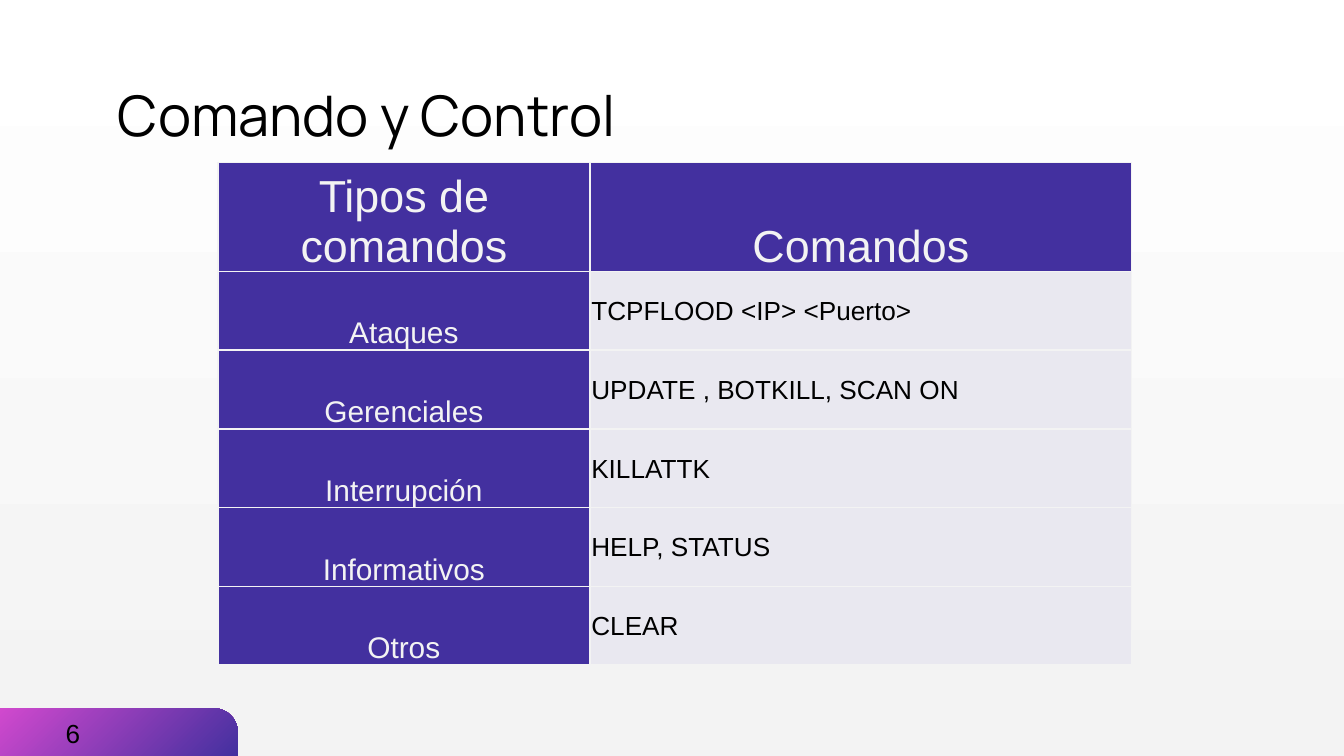
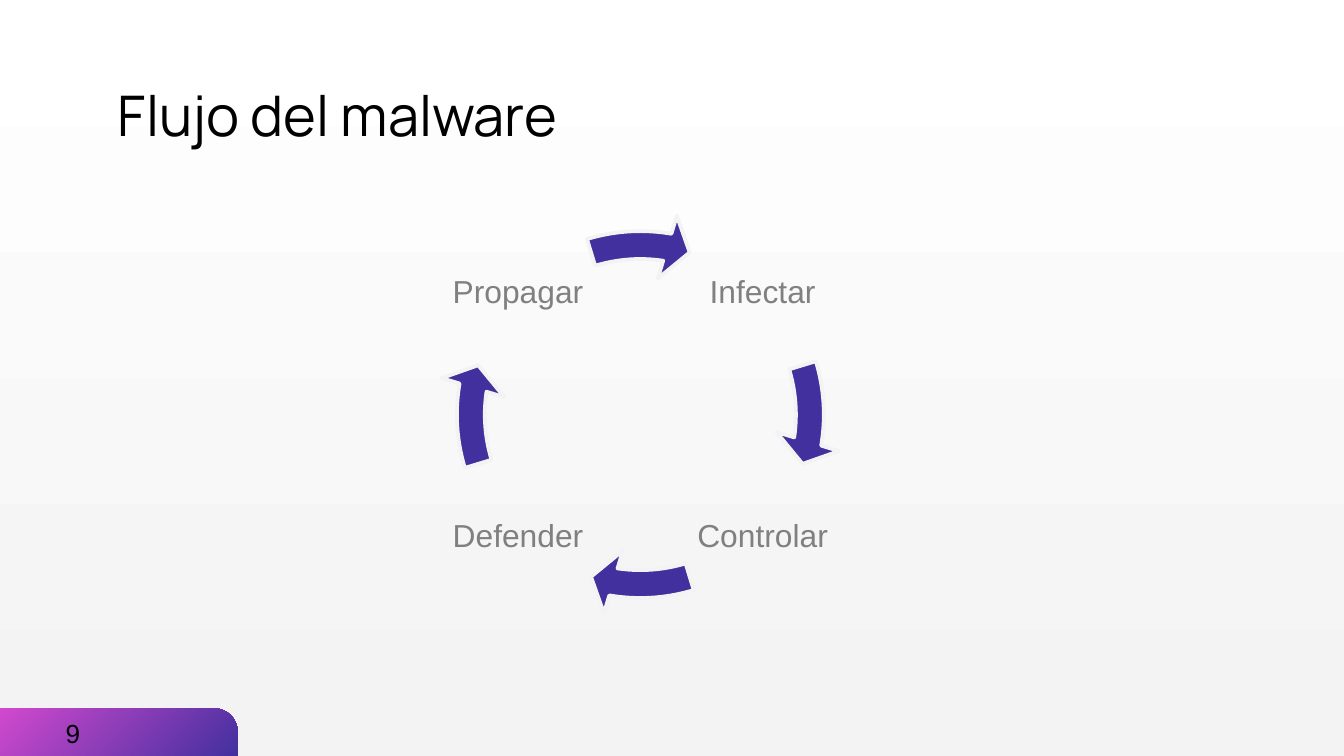
import pptx
import pptx.util
import pptx.dml.color
import pptx.enum.shapes
import pptx.enum.text
import pptx.oxml
import pptx.oxml.ns

Inches = pptx.util.Inches
Pt = pptx.util.Pt
Shape = pptx.enum.shapes.MSO_SHAPE
Anchor = pptx.enum.text.MSO_ANCHOR
Align = pptx.enum.text.PP_ALIGN


def rgb(value):
    return pptx.dml.color.RGBColor.from_string(value)


def write(tf, text, size=14, font="Arial", color="000000", align=Align.LEFT,
          line_spacing=None, space_after=None):
    p = tf.paragraphs[0]
    p.alignment = align
    if line_spacing is not None:
        p.line_spacing = line_spacing
    if space_after is not None:
        p.space_after = Pt(space_after)
    r = p.add_run()
    r.text = text
    r.font.size = Pt(size)
    r.font.name = font
    r.font.color.rgb = rgb(color)


def gradient(fill, colors, angle):
    fill.gradient()
    fill.gradient_angle = 360 - angle
    for stop, color in zip(fill.gradient_stops, colors):
        stop.color.rgb = rgb(color)


def cell_border(cell, side, color, width):
    tc_pr = cell._tc.get_or_add_tcPr()
    tc_pr.append(pptx.oxml.parse_xml(
        f'<a:ln{side} {pptx.oxml.ns.nsdecls("a")} w="{Pt(width)}">'
        f'<a:solidFill><a:srgbClr val="{color}"/></a:solidFill></a:ln{side}>'))


class Deck:
    purple = "43309F"
    pink = "D149CE"
    light = "F3F3F3"
    lilac = "E9E8F0"
    gray = "808080"

    def __init__(self):
        self.prs = pptx.Presentation()
        self.prs.slide_width = Inches(10)
        self.prs.slide_height = Inches(10 * 9 / 16)
        self.s = None

    def slide(self, title, number):
        self.s = self.prs.slides.add_slide(self.prs.slide_layouts[6])
        gradient(self.s.background.fill, ("FFFFFF", self.light), 90)
        tab = self.shape(Shape.ROUND_1_RECTANGLE, 0, 5.27, 1.77, 0.36, (0.5,))
        gradient(tab.fill, (self.pink, self.purple), 45)
        tab.line.fill.background()
        self.text(title, 0.78, 0.59, 8.44, 0.52, inset=(0.1, 0.1),
                  anchor=Anchor.MIDDLE, size=30, font="Manrope")
        self.text(number, 0.39, 5.29, 0.31, 0.34, wrap=False)

    def shape(self, kind, x, y, w, h, adjustments=()):
        sp = self.s.shapes.add_shape(kind, Inches(x), Inches(y), Inches(w), Inches(h))
        sp.shadow.inherit = False
        for i, value in enumerate(adjustments):
            sp.adjustments[i] = value
        return sp

    def text(self, text, x, y, w, h, inset=(0.1, 0.05), anchor=Anchor.TOP,
             wrap=True, **style):
        sp = self.s.shapes.add_textbox(Inches(x), Inches(y), Inches(w), Inches(h))
        tf = sp.text_frame
        tf.word_wrap = wrap
        if not wrap:
            tf.auto_size = pptx.enum.text.MSO_AUTO_SIZE.SHAPE_TO_FIT_TEXT
        tf.margin_left = tf.margin_right = Inches(inset[0])
        tf.margin_top = tf.margin_bottom = Inches(inset[1])
        tf.vertical_anchor = anchor
        write(tf, text, **style)

    def arc_arrow(self, x, y, size, turn):
        start, end = ((a + 54 * turn) % 216 for a in (205.857, 5.489))
        sp = self.shape(Shape.CIRCULAR_ARROW, x, y, size, size,
                        (0.069, 4.655, end, start, 0.081))
        sp.fill.solid()
        sp.fill.fore_color.rgb = rgb(self.purple)
        sp.line.color.rgb = rgb(self.light)
        sp.line.width = Pt(2)

    def table(self, rows, x, y, widths, heights):
        frame = self.s.shapes.add_table(
            len(rows), len(widths), Inches(x), Inches(y),
            Inches(sum(widths)), Inches(sum(heights)))
        table = frame.table
        table.first_row = table.horz_banding = False
        for column, width in zip(table.columns, widths):
            column.width = Inches(width)
        for i, (row, height) in enumerate(zip(rows, heights)):
            table.rows[i].height = Inches(height)
            for j, text in enumerate(row):
                self.cell(table.cell(i, j), text, header=i == 0, label=j == 0)

    def cell(self, cell, text, header, label):
        heading = header or label
        for side in "LRTB":
            cell_border(cell, side, self.light, 1)
        cell.fill.solid()
        cell.fill.fore_color.rgb = rgb(self.purple if heading else self.lilac)
        cell.margin_left = cell.margin_right = cell.margin_top = Inches(0.01)
        cell.margin_bottom = 0
        cell.vertical_anchor = Anchor.BOTTOM if heading else Anchor.MIDDLE
        if heading:
            write(cell.text_frame, text, size=24 if header else 16,
                  color=self.light, align=Align.CENTER)
        else:
            write(cell.text_frame, text)


def commands_slide(deck):
    deck.slide("Comando y Control", "6")
    rows = [
        ("Tipos de comandos", "Comandos"),
        ("Ataques", "TCPFLOOD <IP> <Puerto>"),
        ("Gerenciales", "UPDATE , BOTKILL, SCAN ON"),
        ("Interrupción", "KILLATTK"),
        ("Informativos", "HELP, STATUS"),
        ("Otros", "CLEAR"),
    ]
    deck.table(rows, 1.62, 1.21, (2.77, 4.03), [0.77] + [2.93 / 5] * 5)


def flow_slide(deck):
    deck.slide("Flujo del malware", "9")
    left, right, top, bottom = 3.32, 5.14, 1.65, 3.46
    stages = [
        ("Infectar", right, top),
        ("Controlar", right, bottom),
        ("Defender", left, bottom),
        ("Propagar", left, top),
    ]
    for turn, (stage, x, y) in enumerate(stages):
        deck.text(stage, x, y, 1.07, 1.07, inset=(0.02, 0.02), anchor=Anchor.MIDDLE,
                  size=17, color=deck.gray, align=Align.CENTER,
                  line_spacing=0.9, space_after=6)
        deck.arc_arrow(3.26, 1.58, 3.01, turn)


def main():
    deck = Deck()
    commands_slide(deck)
    flow_slide(deck)
    deck.prs.save("out.pptx")


if __name__ == "__main__":
    main()
